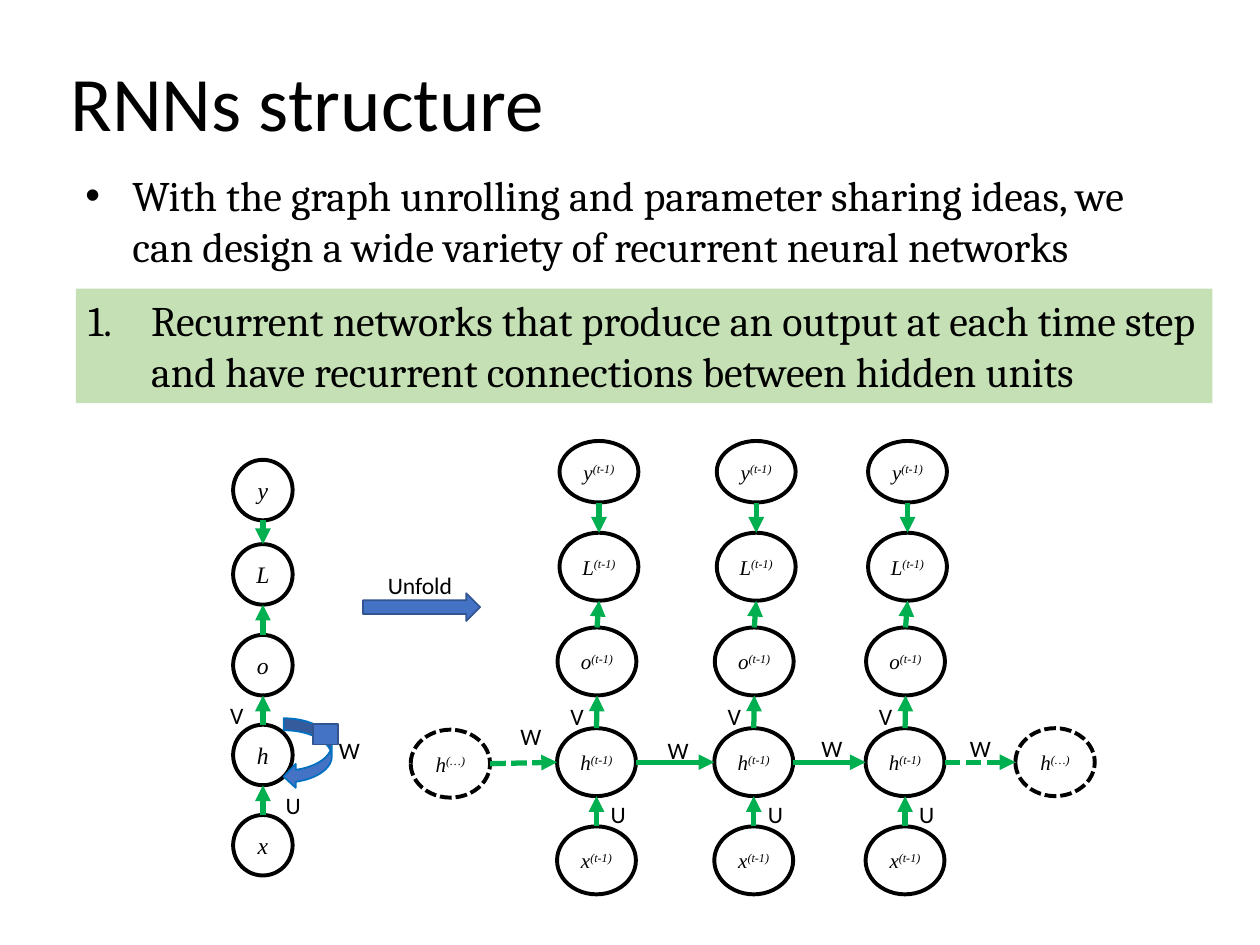
"""Build the slide on the structure of recurrent neural networks."""
from lxml.etree import SubElement
from pptx import Presentation
from pptx.dml.color import RGBColor
from pptx.enum.dml import MSO_LINE
from pptx.enum.shapes import MSO_CONNECTOR, MSO_SHAPE
from pptx.enum.text import MSO_ANCHOR, PP_ALIGN
from pptx.oxml.ns import qn
from pptx.util import Cm, Pt

INK = {"black": "000000", "green": "00B050", "blue": "4472C4",
       "navy": "325491", "sky": "0070C0", "pale": "C5E0B4"}
TITLE = "RNNs structure"
IDEA = ("With the graph unrolling and parameter sharing ideas, we can design "
        "a wide variety of recurrent neural networks")
KIND = ("Recurrent networks that produce an output at each time step and have "
        "recurrent connections between hidden units")
FOLD = {"x": 16.43, "h": 14.61, "o": 12.8, "L": 10.97, "y": 9.27}
ROWS = {"x": (0, 16.66, 1.37), "h": (0, 14.68, 1.37), "o": (0.01, 12.65, 1.37),
        "L": (0.05, 10.74, 1.37), "y": (0.05, 8.89, 1.24)}
COLS = [11.23, 14.4, 17.45]
FLOW = [("x", "h"), ("h", "o"), ("o", "L"), ("y", "L")]
ENDS = [(8.28, 14.71), (20.47, 14.68)]
TAGS = [("W", 6.58, 14.71, 0.64), ("U", 5.51, 15.82, 0.74),
        ("V", 4.39, 14, 0.69), ("W", 10.24, 14.43, 0.64),
        ("W", 13.21, 14.71, 0.64), ("W", 16.31, 14.68, 0.64),
        ("W", 19.3, 14.68, 0.64), ("Unfold", 7.57, 11.38, 1.88)]
for col in COLS:
    TAGS += [("U", col + 0.83, 16, 0.74), ("V", col + 0.02, 14.02, 0.69)]

deck = Presentation()
deck.slide_width, deck.slide_height = Cm(25.4), Cm(19.05)
page = deck.slides.add_slide(deck.slide_layouts[6])


def tint(name):
    return RGBColor.from_string(INK[name])


def write(para, text, size, face, slant=False, raised=False):
    run = para.add_run()
    run.text = text
    run.font.size, run.font.name = Pt(size), face
    run.font.color.rgb = tint("black")
    if slant:
        run.font.italic = True
    if raised:
        run.font._element.set("baseline", "30000")


def form(kind, box, fill=None, edge=None, width=1):
    shape = page.shapes.add_shape(kind, *map(Cm, box))
    shape.shadow.inherit = False
    if fill:
        shape.fill.solid()
        shape.fill.fore_color.rgb = tint(fill)
    else:
        shape.fill.background()
    if edge:
        shape.line.color.rgb = tint(edge)
        shape.line.width = Pt(width)
    else:
        shape.line.fill.background()
    return shape


def node(box, name, power="", size=12, dash=False):
    ring = form(MSO_SHAPE.OVAL, box, edge="black", width=2.25)
    if dash:
        ring.line.dash_style = MSO_LINE.SQUARE_DOT
    frame = ring.text_frame
    frame.vertical_anchor = MSO_ANCHOR.MIDDLE
    frame.margin_left = frame.margin_right = Cm(0.18)
    frame.margin_top = frame.margin_bottom = Cm(0.1)
    para = frame.paragraphs[0]
    para.alignment = PP_ALIGN.CENTER
    write(para, name, size, "Times New Roman", True)
    if power:
        write(para, power, size, "Times New Roman", True, True)
    return ring


def arrow(start, end, dash=False):
    wire = page.shapes.add_connector(MSO_CONNECTOR.STRAIGHT, *start, *end)
    wire.line.color.rgb, wire.line.width = tint("green"), Pt(3)
    if dash:
        wire.line.dash_style = MSO_LINE.SQUARE_DOT
    SubElement(wire.line._get_or_add_ln(), qn("a:tailEnd"), type="triangle")
    SubElement(wire._element.spPr, qn("a:effectLst"))


def rise(low, high):
    def mid(ring):
        return ring.left + ring.width // 2
    if low.top > high.top:
        arrow((mid(low), low.top), (mid(high), high.top + high.height))
    else:
        arrow((mid(low), low.top + low.height), (mid(high), high.top))


def across(left, right, dash=False):
    arrow((left.left + left.width, left.top + left.height // 2),
          (right.left, right.top + right.height // 2), dash)


def label(box, text, size, face="Calibri"):
    frame = page.shapes.add_textbox(*map(Cm, box)).text_frame
    frame.word_wrap = True
    write(frame.paragraphs[0], text, size, face)
    return frame


def item(frame, hang, tag, **mark):
    para = frame.paragraphs[0]
    para.alignment = PP_ALIGN.LEFT
    props = para._p.get_or_add_pPr()
    props.set("marL", str(Cm(hang)))
    props.set("indent", str(-Cm(hang)))
    SubElement(props, qn("a:buFont"), typeface="Arial" if "char" in mark else "+mj-lt")
    SubElement(props, qn(tag), **mark)


head = label((1.17, 0.3, 21.9, 3.68), TITLE, 44)
head.vertical_anchor = MSO_ANCHOR.MIDDLE
head.paragraphs[0].line_spacing = 0.9

rings = {key: node((4.7, top, 1.2, 1.22), key, size=13.5)
         for key, top in FOLD.items()}
for low, high in FLOW:
    rise(rings[low], rings[high])
form(MSO_SHAPE.CURVED_LEFT_ARROW, (5.72, 14.48, 0.97, 1.42), "blue", "sky")

chain = []
for col in COLS:
    rings = {key: node((col + shift, top, 1.59, tall), key, "(t-1)")
             for key, (shift, top, tall) in ROWS.items()}
    for low, high in FLOW:
        rise(rings[low], rings[high])
    chain.append(rings["h"])
first, last = [node((*spot, 1.6, 1.37), "h", "(…)", dash=True) for spot in ENDS]
for left, right in zip(chain, chain[1:]):
    across(left, right)
across(first, chain[0], True)
across(chain[-1], last, True)

form(MSO_SHAPE.RIGHT_ARROW, (7.32, 11.96, 2.36, 0.56), "blue", "navy")
for text, left, top, wide in TAGS:
    label((left, top, wide, 0.83), text, 13.5)

item(label((1.47, 3.3, 22.68, 2.31), IDEA, 24, "Cambria"), 0.95,
     "a:buChar", char="•")
band = form(MSO_SHAPE.RECTANGLE, (1.53, 5.82, 22.91, 2.31), "pale").text_frame
band.word_wrap, band.vertical_anchor = True, MSO_ANCHOR.TOP
write(band.paragraphs[0], KIND, 24, "Cambria")
item(band, 1.27, "a:buAutoNum", type="arabicPeriod")
form(MSO_SHAPE.RECTANGLE, (6.31, 14.6, 0.51, 0.41), "blue", "navy")

deck.save("out.pptx")
